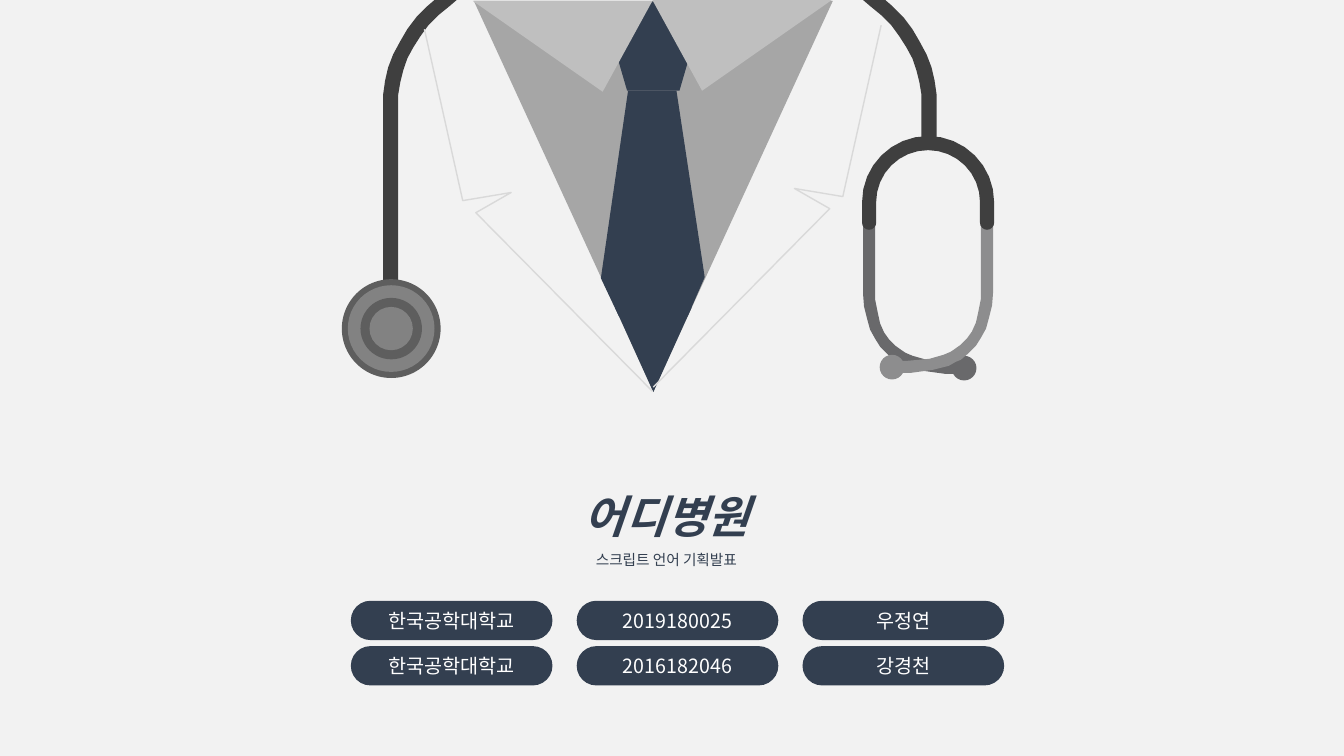
import dataclasses
import math

import pptx
import pptx.dml.color
import pptx.enum.shapes
import pptx.enum.text
import pptx.oxml.ns
import pptx.util

CELL = pptx.util.Inches(0.01)
COLUMNS, ROWS = 1333, 750
KIND = pptx.enum.shapes.MSO_SHAPE


@dataclasses.dataclass(frozen=True)
class Theme:
    """Colours, type sizes and font of the slide."""
    paper: str = "F2F2F2"
    navy: str = "333F50"
    white: str = "FFFFFF"
    shirt: str = "A6A6A6"
    collar: str = "BFBFBF"
    seam: str = "D9D9D9"
    rubber: str = "3F3F3F"
    rim: str = "5E5E5E"
    metal: str = "828282"
    dark_steel: str = "69696B"
    light_steel: str = "8D8D8E"
    font: str = "Noto Sans CJK KR"
    title_size: float = 32
    subtitle_size: float = 10.5
    label_size: float = 14


@dataclasses.dataclass(frozen=True)
class Box:
    """A region in grid cells, optionally mirrored left to right."""
    left: float
    top: float
    width: float
    height: float
    mirrored: bool = False

    def point(self, x, y):
        """Return a point of the region in slide units."""
        across = self.width - x if self.mirrored else x
        return round((self.left + across) * CELL), round((self.top + y) * CELL)

    def frame(self, x, y, width, height):
        """Return the slide frame of a part of the region."""
        left, top = self.point(x + width if self.mirrored else x, y)
        return left, top, round(width * CELL), round(height * CELL)


THEME = Theme()


def rgb(code):
    """Return a colour from its hexadecimal code."""
    return pptx.dml.color.RGBColor.from_string(code)


def paint(shape, colour):
    """Give a shape a plain fill without line or shadow."""
    shape.shadow.inherit = False
    shape.fill.solid()
    shape.fill.fore_color.rgb = rgb(colour)
    shape.line.fill.background()
    return shape


def add_part(page, kind, frame, colour, turn=0, adjust=None):
    """Add a plain preset shape."""
    shape = paint(page.shapes.add_shape(kind, *frame), colour)
    shape.rotation = turn
    if adjust is not None:
        shape.adjustments[0] = adjust
    return shape


def add_outline(page, box, points, closed=True):
    """Build a freeform from points inside the box."""
    places = [box.point(x, y) for x, y in points]
    builder = page.shapes.build_freeform(*places[0], scale=1.0)
    builder.add_line_segments(places[1:], close=closed)
    return builder.convert_to_shape()


def add_span(para, text, size, colour, strong=False):
    """Add one formatted run for Latin and Korean text."""
    span = para.add_run()
    span.text = text
    span.font.name = THEME.font
    span.font.size = pptx.util.Pt(size)
    span.font.color.rgb = rgb(colour)
    span.font.bold = span.font.italic = strong
    latin = span.font._element.find(pptx.oxml.ns.qn("a:latin"))
    asian = pptx.oxml.parse_xml(f'<a:ea {pptx.oxml.ns.nsdecls("a")} typeface="{THEME.font}"/>')
    latin.addnext(asian)


def arc(centre_x, centre_y, radius, start, end, steps):
    """Return points along a circular arc, with angles in degrees."""
    angles = [math.radians(start + (end - start) * i / steps) for i in range(steps + 1)]
    return [(centre_x + radius * math.cos(a), centre_y + radius * math.sin(a)) for a in angles]


def draw_hose(page, box):
    """Draw a neck hose that runs down to the foot of its box."""
    inner = [(51, 0), (73, 0), (66, 6), (55, 15), (45, 25), (37, 36), (30, 47), (24, 58),
             (20, 70), (17, 82), (15, 94), (15, 100)]
    foot = [(15, box.height), (0, box.height)]
    outer = [(0, 100), (0, 94), (2, 80), (5, 67), (10, 54), (17, 41), (24, 29), (33, 17), (44, 6)]
    paint(add_outline(page, box, inner + foot + outer), THEME.rubber)


def draw_chest_piece(page, box):
    """Draw the concentric discs of the chest piece."""
    for index, inset in enumerate((0, 6, 18.5, 27.5)):
        size = box.width - 2 * inset
        colour = THEME.metal if index % 2 else THEME.rim
        add_part(page, KIND.OVAL, box.frame(inset, inset, size, size), colour)


def draw_ear_tube(page, box, colour):
    """Draw a curved steel tube with its ear tip."""
    outer = [(96, 150), (82, 150), (60, 147), (44, 143), (37, 139), (32, 137), (25, 131),
             (17, 123), (12, 115), (7, 106), (4, 95), (1, 83), (0, 70), (0, 0)]
    inner = [(12, 0), (12, 64), (12, 76), (15, 91), (17, 100), (21, 109), (26, 116), (32, 122),
             (39, 127), (42, 129), (49, 132), (63, 136), (85, 138), (100, 138), (100, 150)]
    paint(add_outline(page, box, outer + inner), colour)
    add_part(page, KIND.OVAL, box.frame(88, 132, 24.5, 24.5), colour)


def draw_yoke(page, box):
    """Draw the rubber arch with rounded ends."""
    radius, thickness = box.width / 2, 14
    cap = thickness / 2
    foot = box.height - cap
    outer = arc(radius, radius, radius, 180, 360, 16)
    right_cap = arc(box.width - cap, foot, cap, 0, 180, 8)
    inner = arc(radius, radius, radius - thickness, 360, 180, 16)
    left_cap = arc(cap, foot, cap, 0, 180, 8)
    paint(add_outline(page, box, outer + right_cap + inner + left_cap), THEME.rubber)


def draw_stethoscope(page, box):
    """Draw the stethoscope around the collar."""
    left, top, right = box.left, box.top, box.left + box.width
    draw_hose(page, Box(left + 41, top, 73, 351))
    draw_hose(page, Box(right - 129, top, 73, 147, True))
    draw_chest_piece(page, Box(left, top + 277, 98, 98))
    draw_ear_tube(page, Box(right - 129, top + 221, 100, 150), THEME.dark_steel)
    draw_ear_tube(page, Box(right - 100, top + 220, 100, 150, True), THEME.light_steel)
    draw_yoke(page, Box(right - 130, top + 135, 131, 93))


def draw_coat(page, box):
    """Draw the shirt, tie, collar and lapels."""
    add_part(page, KIND.ISOSCELES_TRIANGLE, box.frame(49, 1, 356, 387), THEME.shirt, 180)
    add_part(page, KIND.REGULAR_PENTAGON, box.frame(185, 1, 84, 89), THEME.navy)
    tie = [(202, 90), (250, 90), (278, 275), (261, 314), (193, 314), (175, 276)]
    paint(add_outline(page, box, tie), THEME.navy)
    for x, y, tip in ((48, 1, 0.277), (226, 0, 0.723)):
        add_part(page, KIND.ISOSCELES_TRIANGLE, box.frame(x, y, 178, 90), THEME.collar, 180, tip)
    add_part(page, KIND.ISOSCELES_TRIANGLE, box.frame(189, 305, 76, 84), THEME.navy, 180)
    for x, y, mirrored in ((0, 29, False), (227, 25, True)):
        side = Box(box.left + x, box.top + y, 226, 359, mirrored)
        lapel = add_outline(page, side, [(0, 0), (38, 170), (86, 162), (51, 182), (226, 359)], False)
        lapel.shadow.inherit = False
        lapel.fill.background()
        lapel.line.color.rgb = rgb(THEME.seam)
        lapel.line.width = pptx.util.Pt(1)


def write_title(page, box):
    """Place the title and its subtitle in the title placeholder."""
    title = page.shapes.title
    title.left, title.top, title.width, title.height = box.frame(0, 0, box.width, box.height)
    frame = title.text_frame
    frame.word_wrap = True
    frame.auto_size = pptx.enum.text.MSO_AUTO_SIZE.SHAPE_TO_FIT_TEXT
    frame.vertical_anchor = pptx.enum.text.MSO_ANCHOR.TOP
    lines = (("어디병원", THEME.title_size, True),
             ("스크립트 언어 기획발표", THEME.subtitle_size, False))
    for index, (text, size, strong) in enumerate(lines):
        para = frame.add_paragraph() if index else frame.paragraphs[0]
        para.alignment = pptx.enum.text.PP_ALIGN.CENTER
        para.line_spacing = 1.5
        add_span(para, text, size, THEME.navy, strong)


def draw_members(page, box):
    """Lay out one row of labels for each team member."""
    members = (("한국공학대학교", "2019180025", "우정연"),
               ("한국공학대학교", "2016182046", "강경천"))
    width, height = 200, 39
    across = (box.width - width) / (len(members[0]) - 1)
    down = (box.height - height) / (len(members) - 1)
    for row, member in enumerate(members):
        for column, text in enumerate(member):
            frame = box.frame(column * across, row * down, width, height)
            label = add_part(page, KIND.ROUNDED_RECTANGLE, frame, THEME.navy, adjust=0.5)
            label.text_frame.vertical_anchor = pptx.enum.text.MSO_ANCHOR.MIDDLE
            para = label.text_frame.paragraphs[0]
            para.alignment = pptx.enum.text.PP_ALIGN.CENTER
            add_span(para, text, THEME.label_size, THEME.white)


def main():
    """Build and save the cover slide."""
    deck = pptx.Presentation()
    deck.slide_width, deck.slide_height = COLUMNS * CELL, ROWS * CELL
    page = deck.slides.add_slide(deck.slide_layouts[5])
    page.background.fill.solid()
    page.background.fill.fore_color.rgb = rgb(THEME.paper)
    draw_stethoscope(page, Box(339, 0, 646, 377))
    draw_coat(page, Box(421, 0, 453, 389))
    write_title(page, Box(326, 453, 670, 114))
    draw_members(page, Box(348, 596, 648, 84))
    deck.save("out.pptx")


if __name__ == "__main__":
    main()
